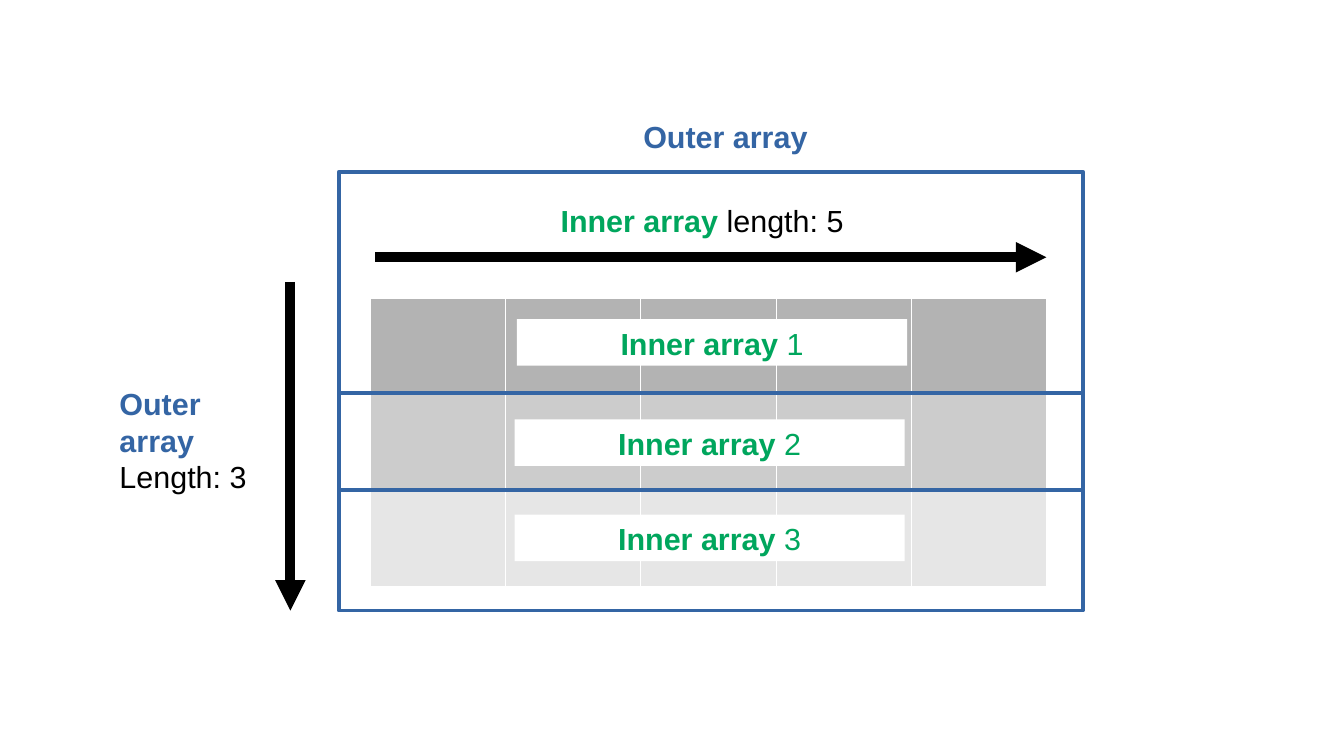
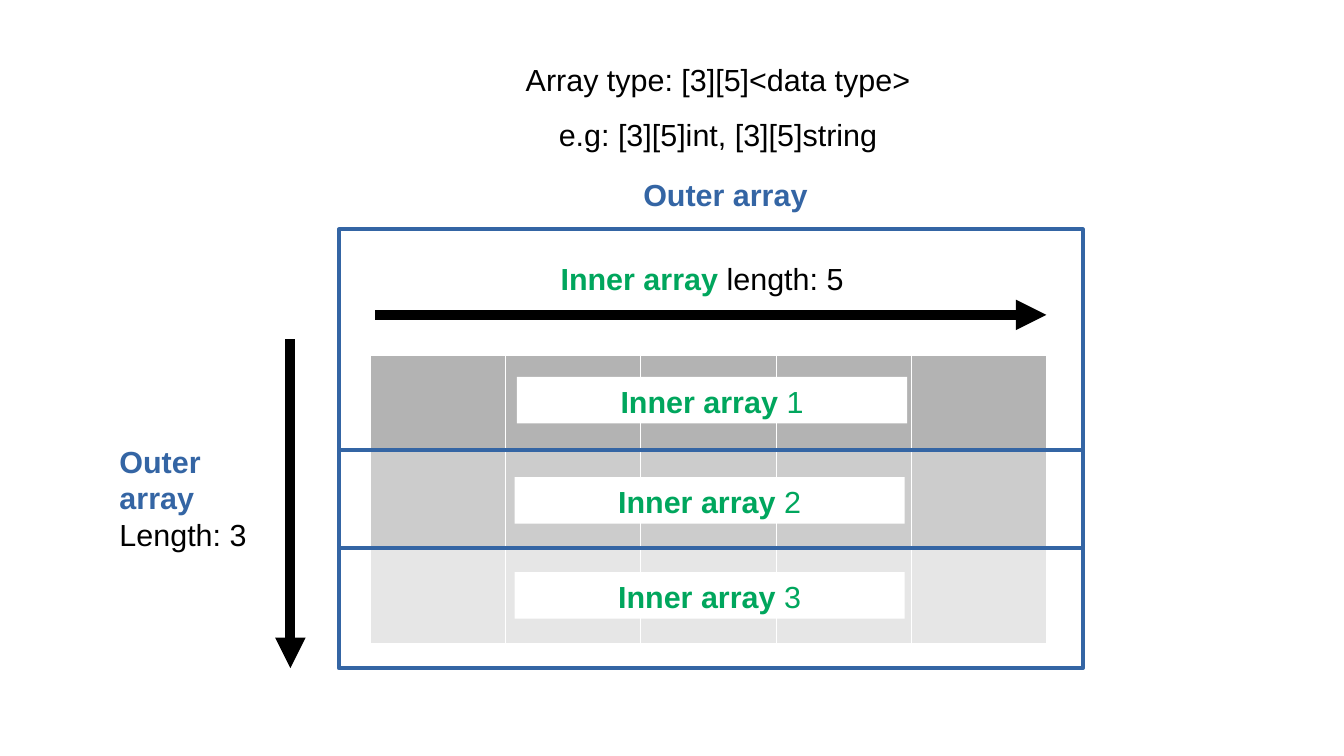
from lxml.etree import SubElement
from pptx import Presentation
from pptx.dml.color import RGBColor
from pptx.enum.shapes import MSO_CONNECTOR, MSO_SHAPE
from pptx.enum.text import MSO_ANCHOR, PP_ALIGN
from pptx.oxml.ns import qn
from pptx.util import Cm, Pt

WHITE = RGBColor(0xFF, 0xFF, 0xFF)
BLACK = RGBColor(0x00, 0x00, 0x00)
BLUE = RGBColor(0x34, 0x65, 0xA4)
GREEN = RGBColor(0x00, 0xA6, 0x5D)
ROW_GREYS = [
    RGBColor(0xB3, 0xB3, 0xB3),
    RGBColor(0xCC, 0xCC, 0xCC),
    RGBColor(0xE6, 0xE6, 0xE6),
]
COLUMNS = 5
LABEL_HEIGHT = 0.97
FRAME_LEFT, FRAME_TOP, FRAME_WIDTH, FRAME_HEIGHT = 7.06, 3.58, 15.5, 9.14
LABEL_PLACES = [(10.77, 6.65), (10.72, 8.74), (10.72, 10.72)]
DIVIDER_TOPS = [8.18, 10.21]


class Sketch:
    font_name = "Arial"
    font_size = Pt(18)
    outline_width = Pt(2.3)
    arrow_width = Pt(6)
    cell_border = Pt(0.06)

    def __init__(self, deck):
        self.deck = deck
        self.page = None
        self.drop = 0

    def new_page(self, drop):
        self.page = self.deck.slides.add_slide(self.deck.slide_layouts[6])
        self.drop = drop

    def place(self, left, top, width, height):
        return Cm(left), Cm(top + self.drop), Cm(width), Cm(height)

    def set_lines(self, box, lines, align, spacing=None):
        frame = box.text_frame
        frame.word_wrap = True
        frame.vertical_anchor = MSO_ANCHOR.TOP
        for number, spans in enumerate(lines):
            para = frame.add_paragraph() if number else frame.paragraphs[0]
            para.alignment = align
            para.line_spacing = spacing
            for text, color, bold in spans:
                span = para.add_run()
                span.text = text
                span.font.name = self.font_name
                span.font.size = self.font_size
                span.font.color.rgb = color
                span.font.bold = bold

    def text(self, place, lines, align=PP_ALIGN.LEFT, spacing=None):
        box = self.page.shapes.add_textbox(*self.place(*place))
        self.set_lines(box, lines, align, spacing)

    def rectangle(self, place, outline=None):
        box = self.page.shapes.add_shape(MSO_SHAPE.RECTANGLE, *self.place(*place))
        box.shadow.inherit = False
        box.fill.solid()
        box.fill.fore_color.rgb = WHITE
        if outline is None:
            box.line.fill.background()
        else:
            box.line.color.rgb = outline
            box.line.width = self.outline_width
        return box

    def label(self, left, top, spans):
        box = self.rectangle((left, top, 8.13, LABEL_HEIGHT))
        self.set_lines(box, [spans], PP_ALIGN.CENTER)

    def line(self, start, end, color, width):
        connector = self.page.shapes.add_connector(
            MSO_CONNECTOR.STRAIGHT,
            Cm(start[0]), Cm(start[1] + self.drop),
            Cm(end[0]), Cm(end[1] + self.drop),
        )
        connector.line.color.rgb = color
        connector.line.width = width
        SubElement(connector.element.spPr, qn("a:effectLst"))
        return connector

    def arrow(self, start, end):
        connector = self.line(start, end, BLACK, self.arrow_width)
        stroke = connector.element.spPr.find(qn("a:ln"))
        SubElement(stroke, qn("a:tailEnd"), type="triangle")

    def grid(self, place, row_colors, columns):
        table = self.page.shapes.add_table(
            len(row_colors), columns, *self.place(*place)
        ).table
        table.first_row = False
        table.horz_banding = False
        for row, color in zip(table.rows, row_colors):
            for cell in row.cells:
                self.border(cell)
                cell.fill.solid()
                cell.fill.fore_color.rgb = color

    def border(self, cell):
        properties = cell._tc.get_or_add_tcPr()
        for side in ("L", "R", "T", "B"):
            edge = SubElement(properties, qn(f"a:ln{side}"), w=str(int(self.cell_border)))
            fill = SubElement(edge, qn("a:solidFill"))
            SubElement(fill, qn("a:srgbClr"), val=str(WHITE))


def draw_array(sketch):
    outer = ("Outer array", BLUE, True)
    inner = ("Inner array", GREEN, True)
    frame_right = FRAME_LEFT + FRAME_WIDTH
    sketch.rectangle((FRAME_LEFT, FRAME_TOP, FRAME_WIDTH, FRAME_HEIGHT), BLUE)
    sketch.arrow((6.05, 5.87), (6.05, FRAME_TOP + FRAME_HEIGHT))
    sketch.grid((7.7, 6.2, 14.1, 6), ROW_GREYS, COLUMNS)
    sketch.arrow((7.82, 5.36), (21.8, 5.36))
    sketch.text(
        (2.24, 7.9, 3.3, LABEL_HEIGHT),
        [[outer, (f" Length: {len(ROW_GREYS)}", BLACK, False)]],
    )
    sketch.text(
        (11.43, 4.09, 6.8, LABEL_HEIGHT),
        [[inner, (f" length: {COLUMNS}", BLACK, False)]],
    )
    for top in DIVIDER_TOPS:
        sketch.line((FRAME_LEFT, top), (frame_right, top), BLUE, sketch.outline_width)
    for number, (left, top) in enumerate(LABEL_PLACES, 1):
        sketch.label(left, top, [inner, (f" {number}", GREEN, False)])
    sketch.text((11.18, 2.34, 7.87, LABEL_HEIGHT), [[outer]], PP_ALIGN.CENTER)


def main():
    deck = Presentation()
    deck.slide_width = Cm(28)
    deck.slide_height = Cm(15.75)
    sketch = Sketch(deck)

    sketch.new_page(drop=0)
    draw_array(sketch)

    sketch.new_page(drop=1.2)
    draw_array(sketch)
    type_lines = ["Array type: [3][5]<data type>", "e.g: [3][5]int, [3][5]string"]
    sketch.text(
        (9.5, 0.76 - sketch.drop, 10.92, 2.39),
        [[(line, BLACK, False)] for line in type_lines],
        PP_ALIGN.CENTER,
        1.5,
    )
    deck.save("out.pptx")


if __name__ == "__main__":
    main()
